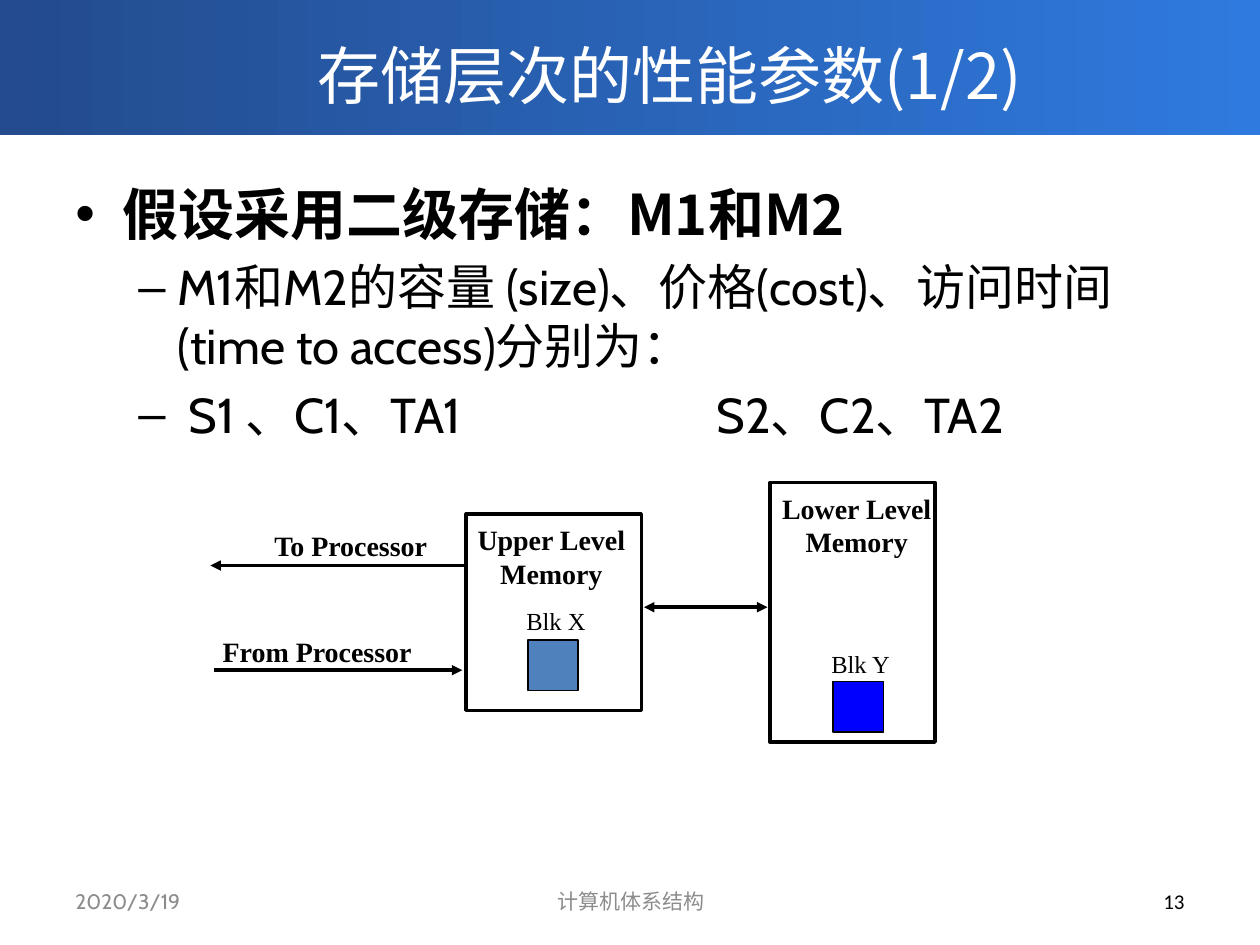
"""Build a slide on the performance parameters of a two-level memory hierarchy."""
from dataclasses import dataclass
from typing import Optional

from lxml import etree
from pptx import Presentation
from pptx.dml.color import RGBColor
from pptx.enum.shapes import MSO_CONNECTOR, MSO_SHAPE
from pptx.enum.text import MSO_ANCHOR, PP_ALIGN
from pptx.oxml.ns import qn
from pptx.util import Cm, Pt

LEFT, CENTER, RIGHT = PP_ALIGN.LEFT, PP_ALIGN.CENTER, PP_ALIGN.RIGHT
TOP, MIDDLE = MSO_ANCHOR.TOP, MSO_ANCHOR.MIDDLE
RECTANGLE, STRAIGHT = MSO_SHAPE.RECTANGLE, MSO_CONNECTOR.STRAIGHT

BLACK = RGBColor(0x00, 0x00, 0x00)
WHITE = RGBColor(0xFF, 0xFF, 0xFF)
GRAY = RGBColor(0x8C, 0x8C, 0x8C)
DEEP_BLUE = RGBColor(0x23, 0x4B, 0x8D)
BRIGHT_BLUE = RGBColor(0x2F, 0x7A, 0xDF)
STEEL_BLUE = RGBColor(0x4F, 0x81, 0xBD)
PURE_BLUE = RGBColor(0x00, 0x00, 0xFF)

HAN, CABIN, CALIBRI, TIMES = "Noto Sans CJK SC", "Cabin", "Calibri", "Times New Roman"
BLOCK_SIDE = 1.02


@dataclass
class Label:
    text: str
    left: float
    top: float
    width: float
    height: float
    size: int = 16
    font: str = TIMES
    color: RGBColor = BLACK
    bold: bool = False
    align: PP_ALIGN = LEFT
    anchor: MSO_ANCHOR = TOP
    wrap: bool = False


@dataclass
class Frame:
    left: float
    top: float
    width: float
    height: float
    line_width: float = 2
    fill: Optional[RGBColor] = None


@dataclass
class Arrow:
    start: float
    end: float
    level: float
    both_ends: bool = False


@dataclass
class Bullet:
    text: str
    mark: str
    size: int
    font: str
    bold: bool
    margin: float
    hanging: float
    space: float
    tab: Optional[float] = None


TITLE = Label("存储层次的性能参数(1/2)", 2.87, 0.41, 21.26, 2.18, 36, HAN, WHITE,
              align=CENTER, anchor=MIDDLE, wrap=True)
FOOTERS = [
    Label("2020/3/19", 1.27, 17.65, 5.92, 1.02, 12, CABIN, GRAY, False, LEFT, MIDDLE, True),
    Label("计算机体系结构", 8.69, 17.65, 8.05, 1.02, 12, CABIN, GRAY, False, CENTER, MIDDLE, True),
    Label("13", 18.21, 17.65, 5.92, 1.02, 12, CALIBRI, BLACK, False, RIGHT, MIDDLE, True),
]
BULLETS = [
    Bullet("假设采用二级存储：M1和M2", "•", 32, HAN, True, 0.95, 0.95, 0),
    Bullet("M1和M2的容量 (size)、价格(cost)、访问时间 (time to access)分别为：",
           "–", 28, CABIN, False, 2.06, 0.79, 5.6),
    Bullet(" S1 、C1、TA1\tS2、C2、TA2", "–", 28, CABIN, False, 2.06, 0.79, 5.6, 12.93),
]
FRAMES = [
    Frame(9.4, 10.36, 3.53, 3.96),
    Frame(15.52, 9.73, 3.33, 5.23),
    Frame(10.64, 12.9, BLOCK_SIDE, BLOCK_SIDE, 1, STEEL_BLUE),
    Frame(16.79, 13.74, BLOCK_SIDE, BLOCK_SIDE, 1, PURE_BLUE),
]
ARROWS = [Arrow(9.4, 4.24, 11.4), Arrow(4.32, 9.32, 13.51), Arrow(12.98, 15.47, 12.24, True)]
DIAGRAM_LABELS = [
    Label("Lower Level\nMemory", 15.49, 9.78, 3.56, 1.63, bold=True, align=CENTER),
    Label("Upper Level\nMemory", 9.35, 10.41, 3.53, 1.63, bold=True, align=CENTER),
    Label("To Processor", 5.28, 10.54, 3.63, 0.94, bold=True),
    Label("From Processor", 4.24, 12.67, 4.37, 0.94, bold=True),
    Label("Blk X", 10.36, 12.09, 1.73, 0.84, 14),
    Label("Blk Y", 16.51, 12.95, 1.7, 0.84, 14),
]


def format_span(span, size: int, font: str, color: RGBColor, bold: bool) -> None:
    span.font.size, span.font.name, span.font.bold = Pt(size), font, bold
    span.font.color.rgb = color
    etree.SubElement(span.font._element, qn("a:ea"), typeface=HAN)


def add_band(page) -> None:
    band = page.shapes.add_shape(RECTANGLE, Cm(0), Cm(0), Cm(25.4), Cm(2.72))
    band.shadow.inherit = False
    band.line.fill.background()
    band.fill.gradient()
    band.fill.gradient_angle = 0
    for stop, color in zip(band.fill.gradient_stops, (DEEP_BLUE, BRIGHT_BLUE)):
        stop.color.rgb = color


def add_label(page, label: Label) -> None:
    box = page.shapes.add_textbox(Cm(label.left), Cm(label.top), Cm(label.width), Cm(label.height))
    box.text_frame.text = label.text
    box.text_frame.word_wrap = label.wrap
    box.text_frame.vertical_anchor = label.anchor
    for para in box.text_frame.paragraphs:
        para.alignment = label.align
        for span in para.runs:
            format_span(span, label.size, label.font, label.color, label.bold)


def add_bullets(page, bullets: list[Bullet]) -> None:
    box = page.shapes.add_textbox(Cm(1.27), Cm(3.5), Cm(22.86), Cm(14.02))
    box.text_frame.word_wrap = True
    box.text_frame.text = "\n".join(bullet.text for bullet in bullets)
    for para, bullet in zip(box.text_frame.paragraphs, bullets):
        properties = para._p.get_or_add_pPr()
        properties.set("marL", str(Cm(bullet.margin)))
        properties.set("indent", str(-Cm(bullet.hanging)))
        etree.SubElement(properties, qn("a:buFont"), typeface="Arial")
        etree.SubElement(properties, qn("a:buChar"), char=bullet.mark)
        if bullet.tab is not None:
            tabs = etree.SubElement(properties, qn("a:tabLst"))
            etree.SubElement(tabs, qn("a:tab"), pos=str(Cm(bullet.tab)), algn="l")
        para.space_before = Pt(bullet.space)
        for span in para.runs:
            format_span(span, bullet.size, bullet.font, BLACK, bullet.bold)


def add_frame(page, frame: Frame) -> None:
    shape = page.shapes.add_shape(RECTANGLE, Cm(frame.left), Cm(frame.top),
                                  Cm(frame.width), Cm(frame.height))
    shape.shadow.inherit = False
    shape.line.color.rgb, shape.line.width = BLACK, Pt(frame.line_width)
    if frame.fill is None:
        shape.fill.background()
    else:
        shape.fill.solid()
        shape.fill.fore_color.rgb = frame.fill


def add_arrow(page, arrow: Arrow) -> None:
    connector = page.shapes.add_connector(STRAIGHT, Cm(arrow.start), Cm(arrow.level),
                                          Cm(arrow.end), Cm(arrow.level))
    connector.line.color.rgb, connector.line.width = BLACK, Pt(2)
    line = connector.line._get_or_add_ln()
    for end in ("a:headEnd", "a:tailEnd") if arrow.both_ends else ("a:tailEnd",):
        etree.SubElement(line, qn(end), type="triangle")
    etree.SubElement(connector._element.spPr, qn("a:effectLst"))


def main() -> None:
    deck = Presentation()
    deck.slide_width, deck.slide_height = Cm(25.4), Cm(19.05)
    page = deck.slides.add_slide(deck.slide_layouts[6])
    add_band(page)
    add_label(page, TITLE)
    add_bullets(page, BULLETS)
    for frame in FRAMES:
        add_frame(page, frame)
    for arrow in ARROWS:
        add_arrow(page, arrow)
    for label in FOOTERS + DIAGRAM_LABELS:
        add_label(page, label)
    deck.save("out.pptx")


if __name__ == "__main__":
    main()
